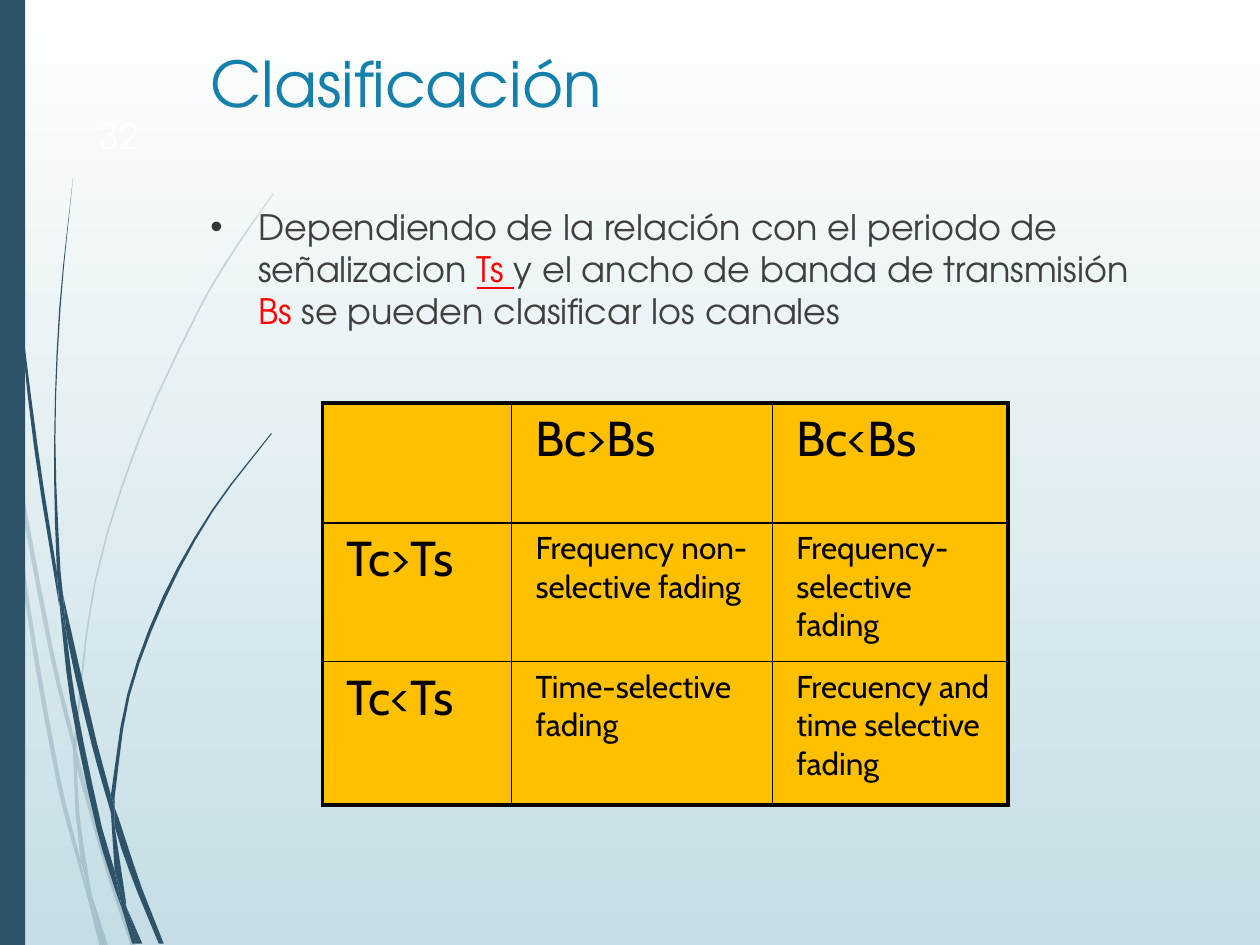
from dataclasses import dataclass
from math import dist

from lxml.etree import SubElement
from pptx import Presentation
from pptx.dml.color import RGBColor
from pptx.enum.shapes import MSO_SHAPE
from pptx.enum.text import MSO_ANCHOR, MSO_AUTO_SIZE, PP_ALIGN
from pptx.oxml.ns import qn
from pptx.util import Inches, Pt

SANS = "TeX Gyre Adventor"
TABLE_FONT = "Cabin"
NAVY = "2E5369"
RED = "FF0000"
GREY = "404040"
Point = tuple[float, float]


@dataclass
class Blade:
    out: list[Point]
    back: list[Point]


@dataclass
class Span:
    text: str
    color: str = GREY
    underline: bool = False


PALE_BLADES = [
    Blade([(0.08, 3.5), (0.06, 3.22), (0, 2.82)], [(0, 2.99), (0.07, 3.44)]),
    Blade([(0.1, 3.45), (0.43, 5.2), (0.59, 5.86)], [(0.59, 5.99), (0.4, 5.22), (0.12, 3.76)]),
    Blade([(1.08, 7.51), (0.88, 6.92), (0.64, 6.07), (0.61, 5.96)],
          [(0.61, 6.1), (0.85, 6.94), (1.04, 7.51)]),
    Blade([(0.83, 7.51), (0.73, 7.11)], [(0.86, 7.51)]),
    Blade([(0.08, 3.5), (0.19, 4.7), (0.45, 6.21), (0.64, 6.93), (0.7, 7.14)],
          [(0.69, 7.07), (0.64, 6.83), (0.48, 6.19), (0.22, 4.69), (0.12, 3.76)]),
    Blade([(0.58, 5.99), (0.6, 6.46), (0.64, 6.83), (0.67, 6.92), (0.73, 7.11)],
          [(0.72, 7.06), (0.63, 6.46), (0.61, 6.1), (0.61, 6.08)]),
    Blade([(0.61, 5.96), (0.61, 5.84), (0.76, 4.62), (1.11, 3.49), (1.59, 2.45),
           (1.87, 1.98), (2.17, 1.54)],
          [(2.17, 1.53), (1.86, 1.97), (1.58, 2.44), (1.1, 3.48),
           (0.75, 4.61), (0.59, 5.84), (0.59, 5.86)]),
    Blade([(0.7, 7.14), (0.79, 7.51)], [(0.82, 7.51)]),
    Blade([(0.61, 6.08), (0.61, 6.1), (0.61, 5.96)], [(0.59, 5.86), (0.58, 5.99)]),
    Blade([(0.65, 6.83), (0.69, 7.07), (0.7, 7.14), (0.82, 7.51)],
          [(0.83, 7.51), (0.73, 7.11), (0.67, 6.92)]),
]

DARK_BLADES = [
    Blade([(0.02, 0), (0.05, 1.1), (0.14, 2.33), (0.27, 3.55), (0.47, 4.81)],
          [(0.45, 4.53), (0.3, 3.55), (0.15, 2.32), (0.06, 1.09), (0.03, 0)]),
    Blade([(0.5, 4.72), (0.53, 5.05), (0.73, 5.92), (0.88, 6.45)],
          [(0.88, 6.31), (0.77, 5.9), (0.5, 4.72)]),
    Blade([(0.91, 6.41), (0.91, 6.56), (1.09, 7.08), (1.26, 7.49)],
          [(1.3, 7.49), (1.13, 7.06), (0.94, 6.49)]),
    Blade([(0.47, 4.77), (0.56, 5.57), (0.77, 6.59), (0.92, 7.08), (0.97, 7.22)],
          [(0.96, 7.17), (0.91, 6.91), (0.81, 6.57), (0.6, 5.56), (0.53, 5.05)]),
    Blade([(0.5, 4.72), (0.48, 4.53), (0.44, 3.49), (0.48, 2.45), (0.58, 1.41)],
          [(0.58, 1.41), (0.47, 2.45), (0.43, 3.49), (0.45, 4.49), (0.49, 4.72)]),
    Blade([(1.1, 7.49), (1, 7.19)], [(1.13, 7.49)]),
    Blade([(0.47, 4.77), (0.53, 5.05)], [(0.5, 4.72), (0.45, 4.49), (0.45, 4.53)]),
    Blade([(0.91, 6.41), (0.91, 6.33), (1.03, 5.52), (1.31, 4.76), (1.69, 4.06), (2.16, 3.44)],
          [(2.15, 3.44), (1.68, 4.05), (1.29, 4.74), (1.01, 5.51), (0.88, 6.31)]),
    Blade([(0.97, 7.22), (1.05, 7.49)], [(1.08, 7.49)]),
    Blade([(0.88, 6.45), (0.91, 6.91), (0.96, 7.06), (1, 7.19)],
          [(1, 7.16), (0.91, 6.56), (0.9, 6.51)]),
    Blade([(0.88, 6.45), (0.91, 6.56)], [(0.91, 6.41), (0.88, 6.31)]),
    Blade([(0.91, 6.91), (0.97, 7.22), (1.08, 7.49)], [(1.1, 7.49), (1, 7.19), (0.96, 7.06)]),
]

BODY = [
    Span("Dependiendo de la relación con el periodo de señalizacion "),
    Span("Ts ", RED, True),
    Span("y el ancho de banda de transmisión "),
    Span("Bs", RED),
    Span(" se pueden clasificar los canales"),
]

COLS = [1.5, 2.07, 1.87]
ROWS = [0.95, 1.1, 1.14]
CELLS = [
    ["", "Bc>Bs", "Bc<Bs"],
    ["Tc>Ts", "Frequency non-selective fading", "Frequency-selective fading"],
    ["Tc<Ts", "Time-selective fading", "Frecuency and time selective fading"],
]


def rgb(color: str) -> RGBColor:
    return RGBColor.from_string(color)


def paint(fill, color: str) -> None:
    fill.solid()
    fill.fore_color.rgb = rgb(color)


def style(r, size: float, color: str, font: str = SANS) -> None:
    r.font.size = Pt(size)
    r.font.name = font
    r.font.color.rgb = rgb(color)


def place(sp, left: float, top: float, width: float, height: float) -> None:
    sp.left, sp.top, sp.width, sp.height = map(Inches, (left, top, width, height))
    sp.text_frame.word_wrap = True
    sp.text_frame.auto_size = MSO_AUTO_SIZE.NONE
    sp.text_frame.vertical_anchor = MSO_ANCHOR.TOP


def toward(a: Point, b: Point, length: float) -> Point:
    scale = length / (dist(a, b) or 1)
    return (b[0] - a[0]) * scale, (b[1] - a[1]) * scale


def smooth(edge: list[Point]) -> list[Point]:
    padded = [edge[0], *edge, edge[-1]]
    points = [edge[0]]
    for p0, p1, p2, p3 in zip(padded, padded[1:], padded[2:], padded[3:]):
        length = dist(p1, p2)
        steps = 3 if length > 0.5 else 1
        d1, d2 = toward(p0, p2, length / 3), toward(p1, p3, length / 3)
        for t in (i / steps for i in range(1, steps + 1)):
            u = 1 - t
            points.append(tuple(
                u**3 * a + 3 * u * u * t * (a + da) + 3 * u * t * t * (b - db) + t**3 * b
                for a, b, da, db in zip(p1, p2, d1, d2)))
    return points


def draw_blades(s, blades: list[Blade], opacity: int) -> None:
    group = s.shapes.add_group_shape()
    for blade in blades:
        outline = smooth(blade.out) + smooth(blade.back)
        start, *rest = [(Inches(x), Inches(y)) for x, y in outline]
        builder = group.shapes.build_freeform(*start)
        builder.add_line_segments(rest, close=True)
        sp = builder.convert_to_shape()
        sp.shadow.inherit = False
        sp.line.fill.background()
        paint(sp.fill, NAVY)
        if opacity < 100:
            color = sp.element.spPr.find(qn("a:solidFill"))[0]
            SubElement(color, qn("a:alpha"), val=str(opacity * 1000))


def add_borders(cell, row: int, col: int) -> None:
    outer = {"L": col == 0, "R": col == len(COLS) - 1, "T": row == 0, "B": row == len(ROWS) - 1}
    tc_pr = cell._tc.get_or_add_tcPr()
    for side, thick in outer.items():
        ln = SubElement(tc_pr, qn(f"a:ln{side}"), w=str(Pt(2.25 if thick else 1)))
        SubElement(SubElement(ln, qn("a:solidFill")), qn("a:srgbClr"), val="000000")


def draw_table(s) -> None:
    frame = s.shapes.add_table(len(ROWS), len(COLS), Inches(2.56), Inches(3.2),
                               Inches(sum(COLS)), Inches(sum(ROWS)))
    table = frame.table
    table.first_row = table.horz_banding = False
    for column, width in zip(table.columns, COLS):
        column.width = Inches(width)
    for i, height in enumerate(ROWS):
        table.rows[i].height = Inches(height)
        for j, text in enumerate(CELLS[i]):
            cell = table.cell(i, j)
            add_borders(cell, i, j)
            paint(cell.fill, "FFC000")
            cell.text_frame.text = text
            p = cell.text_frame.paragraphs[0]
            p._p.get_or_add_pPr().set("marL", str(Inches(0.09)))
            for r in p.runs:
                style(r, 18 if i and j else 28, "000000", TABLE_FONT)


def fill_line(sp, text: str, align: PP_ALIGN, size: float, color: str) -> None:
    sp.text_frame.text = text
    p = sp.text_frame.paragraphs[0]
    p.alignment = align
    style(p.runs[0], size, color)


def fill_body(sp) -> None:
    p = sp.text_frame.paragraphs[0]
    p_pr = p._p.get_or_add_pPr()
    p_pr.set("marL", str(Inches(0.38)))
    p_pr.set("indent", str(Inches(-0.38)))
    SubElement(SubElement(p_pr, qn("a:buClr")), qn("a:srgbClr"), val="353535")
    SubElement(p_pr, qn("a:buChar"), char="•")
    p.space_before = Pt(0)
    for span in BODY:
        r = p.add_run()
        r.text = span.text
        style(r, 20, span.color)
        r.font.underline = span.underline


def main() -> None:
    prs = Presentation()
    prs.slide_width, prs.slide_height = Inches(10), Inches(7.5)
    s = prs.slides.add_slide(prs.slide_layouts[1])
    background = s.background.fill
    background.gradient()
    background.gradient_angle = 270
    for stop, color, position in zip(background.gradient_stops, ("FFFFFF", "C5DEE5"), (0, 1)):
        stop.color.rgb = rgb(color)
        stop.position = position

    draw_blades(s, PALE_BLADES, 20)
    draw_blades(s, DARK_BLADES, 100)
    bar = s.shapes.add_shape(MSO_SHAPE.RECTANGLE, 0, 0, Inches(0.2), prs.slide_height)
    bar.shadow.inherit = False
    bar.line.fill.background()
    paint(bar.fill, NAVY)

    title, body = s.shapes.title, s.placeholders[1]
    for sp in (title, body):
        s.shapes._spTree.append(sp.element)
    place(title, 1.57, 0.3, 8.2, 1.25)
    fill_line(title, "Clasificación", PP_ALIGN.LEFT, 36, "1581AA")
    place(body, 1.57, 1.58, 7.53, 5.25)
    fill_body(body)
    draw_table(s)

    number = s.shapes.add_textbox(0, 0, 0, 0)
    place(number, 0.5, 0.86, 0.7, 0.4)
    fill_line(number, "32", PP_ALIGN.RIGHT, 20, "FFFFFF")
    prs.save("out.pptx")


if __name__ == "__main__":
    main()
